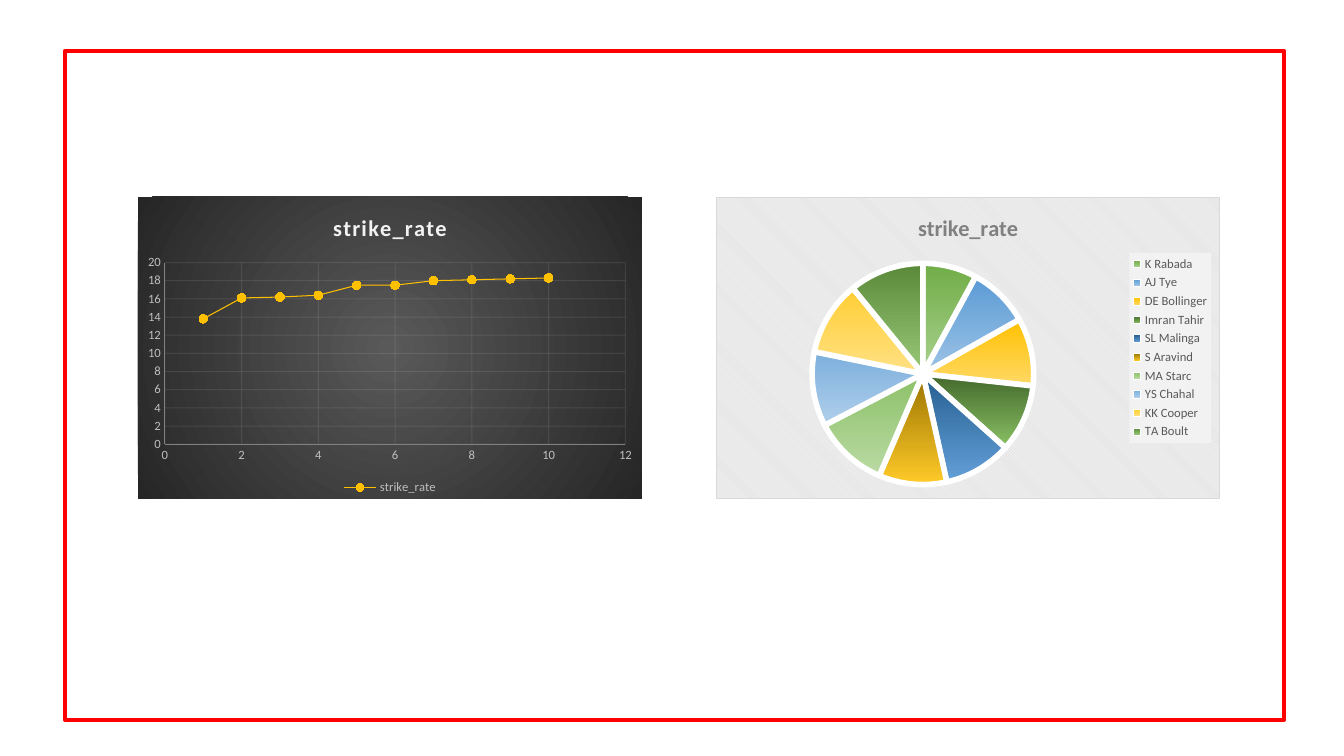
import lxml.etree
import pptx
import pptx.chart.data
import pptx.dml.color
import pptx.enum.chart
import pptx.enum.shapes
import pptx.oxml
import pptx.oxml.ns
import pptx.util

RGBColor = pptx.dml.color.RGBColor
RED = RGBColor(0xFF, 0x00, 0x00)
WHITE = RGBColor(0xFF, 0xFF, 0xFF)
BLACK = RGBColor(0x00, 0x00, 0x00)
GOLD = RGBColor(0xFF, 0xC0, 0x00)
PALE = RGBColor(0xF2, 0xF2, 0xF2)
SILVER = RGBColor(0xBF, 0xBF, 0xBF)
GREY = RGBColor(0x80, 0x80, 0x80)
SLATE = RGBColor(0x59, 0x59, 0x59)
CHARCOAL = RGBColor(0x26, 0x26, 0x26)
SMOKE = RGBColor(0xE6, 0xE6, 0xE6)
MIST = RGBColor(0xD9, 0xD9, 0xD9)

MEASURE = "strike_rate"
STRIKE_RATES = [13.8, 16.1, 16.2, 16.4, 17.5, 17.5, 18, 18.1, 18.2, 18.3]
# Bowler, share, top and bottom colour of the slice
BOWLERS = [
    ("K Rabada", 8, RGBColor(0x70, 0xAD, 0x47), RGBColor(0xA9, 0xD1, 0x8E)),
    ("AJ Tye", 9, RGBColor(0x5B, 0x9B, 0xD5), RGBColor(0x9D, 0xC3, 0xE6)),
    ("DE Bollinger", 10, GOLD, RGBColor(0xFF, 0xD9, 0x66)),
    ("Imran Tahir", 10, RGBColor(0x43, 0x68, 0x2B), RGBColor(0x89, 0xC0, 0x64)),
    ("SL Malinga", 10, RGBColor(0x25, 0x5E, 0x91), RGBColor(0x63, 0xA0, 0xD7)),
    ("S Aravind", 10, RGBColor(0x99, 0x73, 0x00), RGBColor(0xFF, 0xCA, 0x29)),
    ("MA Starc", 11, RGBColor(0x8C, 0xC1, 0x68), RGBColor(0xBA, 0xDA, 0xA4)),
    ("YS Chahal", 11, RGBColor(0x7C, 0xAF, 0xDD), RGBColor(0xB0, 0xCF, 0xEB)),
    ("KK Cooper", 11, RGBColor(0xFF, 0xCD, 0x33), RGBColor(0xFF, 0xE1, 0x85)),
    ("TA Boult", 11, RGBColor(0x5A, 0x8A, 0x39), RGBColor(0x99, 0xC8, 0x79)),
]

RADIAL_FILL = f"""<a:gradFill><a:gsLst>
<a:gs pos="0"><a:srgbClr val="{SLATE}"/></a:gs>
<a:gs pos="100000"><a:srgbClr val="{CHARCOAL}"/></a:gs></a:gsLst>
<a:path path="circle"><a:fillToRect l="50000" t="50000" r="50000" b="50000"/></a:path>
</a:gradFill><a:ln><a:noFill/></a:ln>"""
STRIPED_FILL = f"""<a:pattFill prst="dkDnDiag">
<a:fgClr><a:srgbClr val="{WHITE}"/></a:fgClr><a:bgClr><a:srgbClr val="{SMOKE}"/></a:bgClr>
</a:pattFill><a:ln w="9525"><a:solidFill><a:srgbClr val="{MIST}"/></a:solidFill></a:ln>"""
LEGEND_FILL = f'<a:solidFill><a:srgbClr val="{PALE}"/></a:solidFill><a:ln><a:noFill/></a:ln>'

qn = pptx.oxml.ns.qn


class SlideBuilder:
    FONT = "Calibri"
    EMU_PER_PX = 914400 / 100.8

    def __init__(self, presentation):
        self.slide = presentation.slides.add_slide(presentation.slide_layouts[6])

    @classmethod
    def emu(cls, *lengths):
        return [pptx.util.Emu(round(px * cls.EMU_PER_PX)) for px in lengths]

    def set_font(self, font, size, color, bold=False):
        font.name, font.size, font.bold = self.FONT, pptx.util.Pt(size), bold
        font.color.rgb = color

    def set_line(self, line, color, width):
        line.color.rgb = color
        line.width = pptx.util.Pt(width)

    def set_background(self, holder, fill_xml):
        """Fill a chart area or a legend that already has its font."""
        properties = pptx.oxml.parse_xml(
            f'<c:spPr {pptx.oxml.ns.nsdecls("c", "a")}>{fill_xml}</c:spPr>')
        holder.find(qn("c:txPr")).addprevious(properties)

    def frame(self, left, top, width, height):
        shape = self.slide.shapes.add_shape(
            pptx.enum.shapes.MSO_SHAPE.RECTANGLE, *self.emu(left, top, width, height))
        shape.shadow.inherit = False
        shape.fill.background()
        self.set_line(shape.line, RED, 3)

    def chart(self, kind, data, box, title_color, legend_color, legend_place, background):
        chart = self.slide.shapes.add_chart(kind, *self.emu(*box), data).chart
        self.set_font(chart.font, 10, BLACK)
        self.set_background(chart.element, background)
        chart.has_title = True
        title = chart.chart_title.text_frame
        title.text = MEASURE
        self.set_font(title.paragraphs[0].font, 16, title_color, True)
        chart.has_legend = True
        chart.legend.position = legend_place
        chart.legend.include_in_layout = False
        self.set_font(chart.legend.font, 9, legend_color)
        return chart

    def axis(self, axis, maximum):
        axis.minimum_scale, axis.maximum_scale, axis.major_unit = 0, maximum, 2
        axis.major_tick_mark = axis.minor_tick_mark = pptx.enum.chart.XL_TICK_MARK.NONE
        self.set_font(axis.tick_labels.font, 9, SILVER)
        self.set_line(axis.format.line, GREY, 0.75)
        axis.has_major_gridlines = True
        self.set_line(axis.major_gridlines.format.line, PALE, 0.75)

    def scatter(self, *box):
        data = pptx.chart.data.XyChartData()
        points = data.add_series(MEASURE)
        for rank, rate in enumerate(STRIKE_RATES, 1):
            points.add_data_point(rank, rate)
        chart = self.chart(pptx.enum.chart.XL_CHART_TYPE.XY_SCATTER_LINES, data, box, PALE,
                           SILVER, pptx.enum.chart.XL_LEGEND_POSITION.BOTTOM, RADIAL_FILL)
        # Widely spaced title letters
        for properties in chart.element.find(".//" + qn("c:title")).iter(qn("a:defRPr")):
            properties.set("spc", "100")
        self.axis(chart.category_axis, 12)
        self.axis(chart.value_axis, 20)
        # Faint gridlines
        for gridlines in chart.element.iter(qn("c:majorGridlines")):
            for color in gridlines.iter(qn("a:srgbClr")):
                lxml.etree.SubElement(color, qn("a:alpha"), val="10000")
        chart.plots[0].vary_by_categories = False
        series = chart.plots[0].series[0]
        series.smooth = False
        self.set_line(series.format.line, GOLD, 0.75)
        series.marker.style = pptx.enum.chart.XL_MARKER_STYLE.CIRCLE
        series.marker.size = 6
        series.marker.format.fill.solid()
        series.marker.format.fill.fore_color.rgb = GOLD
        self.set_line(series.marker.format.line, GOLD, 0.75)

    def pie(self, *box):
        names, shares, tops, bottoms = zip(*BOWLERS)
        data = pptx.chart.data.CategoryChartData()
        data.categories = names
        data.add_series(MEASURE, shares)
        chart = self.chart(pptx.enum.chart.XL_CHART_TYPE.PIE, data, box, GREY,
                           SLATE, pptx.enum.chart.XL_LEGEND_POSITION.RIGHT, STRIPED_FILL)
        self.set_background(chart.element.find(".//" + qn("c:legend")), LEGEND_FILL)
        chart.plots[0].vary_by_categories = True
        series = chart.plots[0].series[0]
        for index, colors in enumerate(zip(tops, bottoms)):
            slice_format = series.points[index].format
            slice_format.fill.gradient()
            slice_format.fill.gradient_angle = 270
            for stop, color in zip(slice_format.fill.gradient_stops, colors):
                stop.color.rgb = color
            self.set_line(slice_format.line, WHITE, 4)


def main():
    presentation = pptx.Presentation()
    presentation.slide_width, presentation.slide_height = SlideBuilder.emu(1344, 756)
    builder = SlideBuilder(presentation)

    # Red frame around the charts
    builder.frame(65, 51, 1219, 669)

    # Charts side by side
    builder.pie(716, 197, 504, 302)
    builder.scatter(138, 197, 504, 302)

    presentation.save("out.pptx")


if __name__ == "__main__":
    main()
